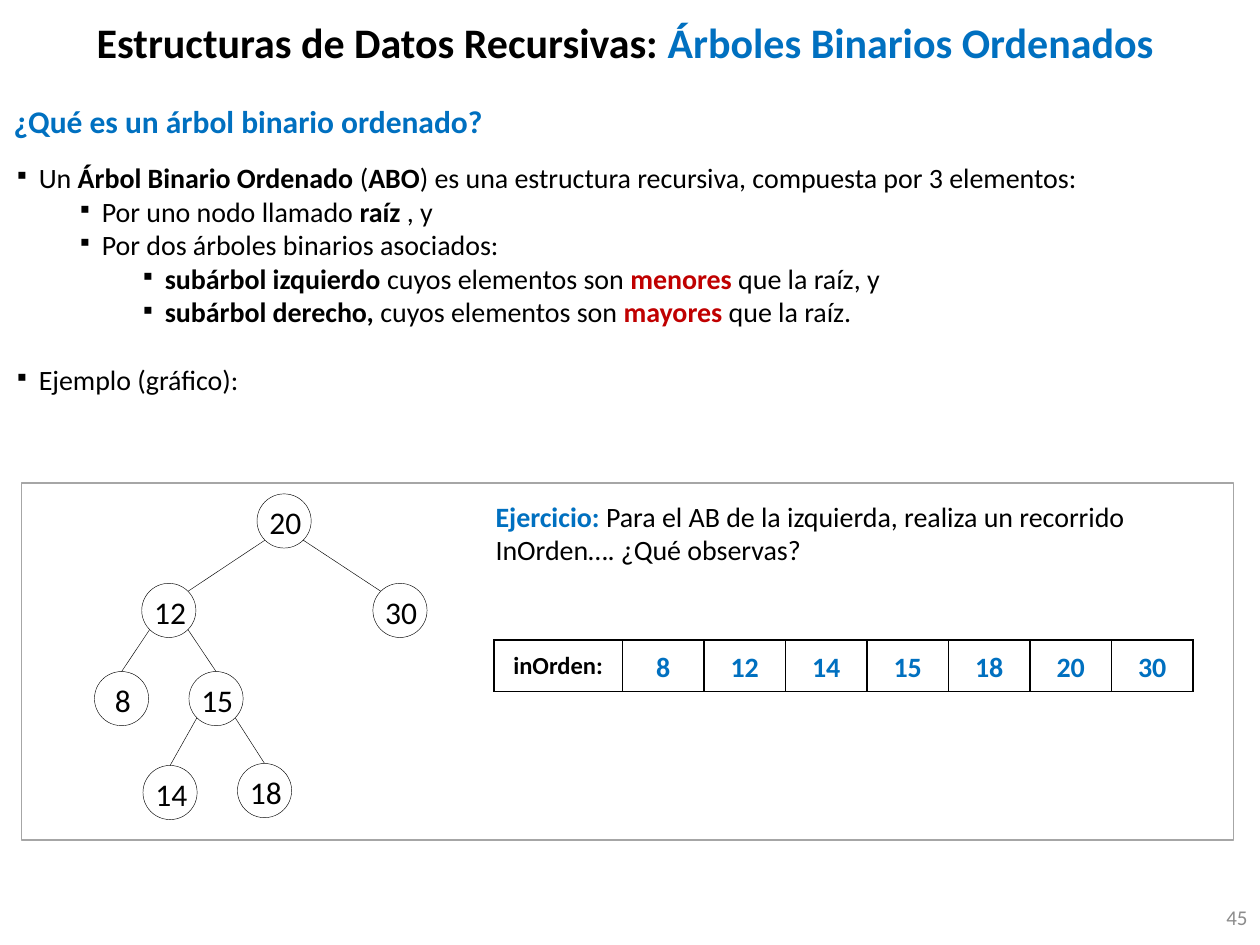
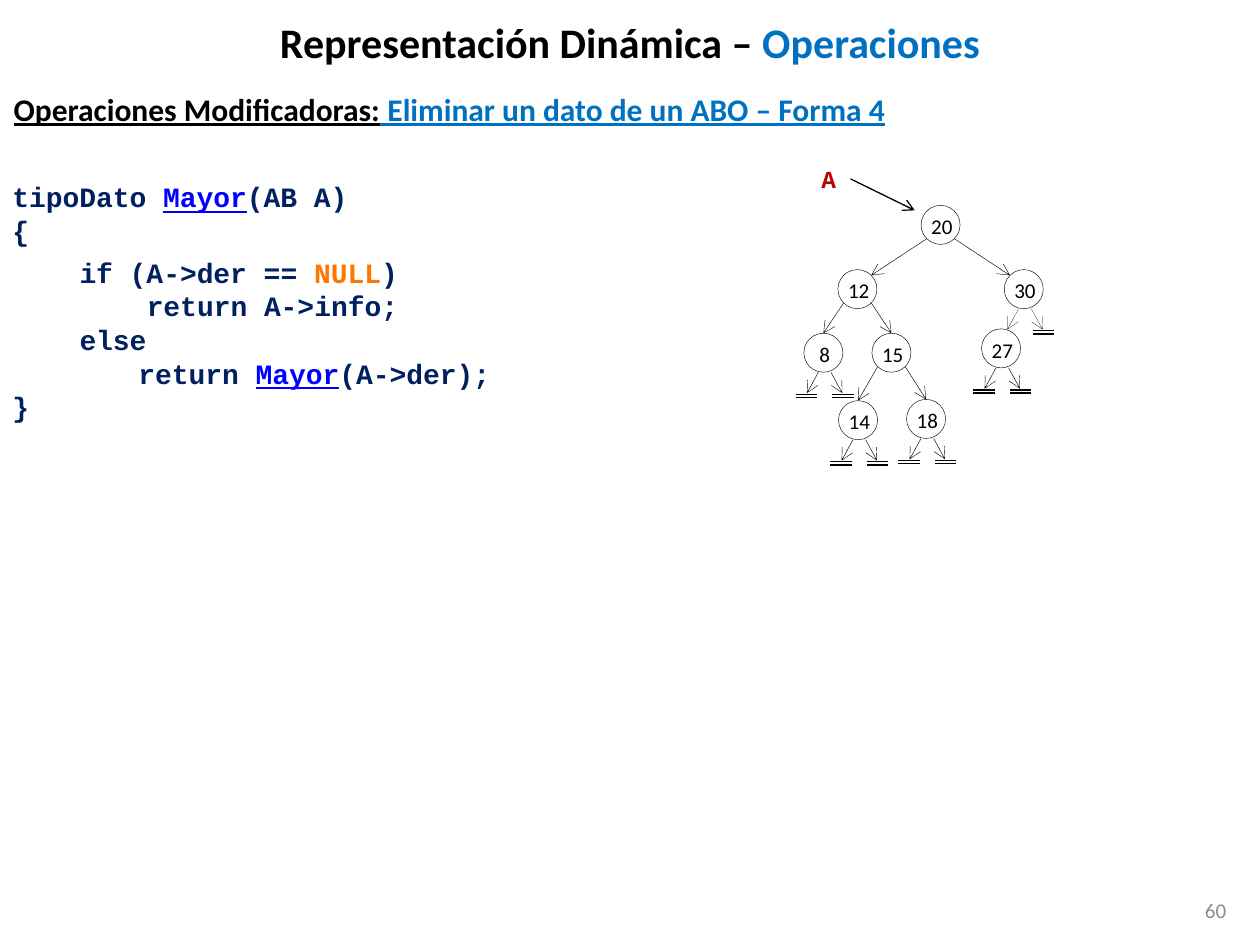
from dataclasses import dataclass, replace

from lxml.etree import SubElement
from pptx import Presentation
from pptx.dml.color import RGBColor
from pptx.enum.shapes import MSO_CONNECTOR, MSO_SHAPE
from pptx.enum.text import MSO_ANCHOR, PP_ALIGN
from pptx.oxml.ns import qn
from pptx.util import Inches, Pt

COLORS = {
    "black": "000000", "white": "FFFFFF", "blue": "0070C0", "red": "C00000",
    "navy": "002060", "call": "0000FF", "orange": "FF7700",
    "frame": "A6A6A6", "number": "8C8C8C",
}
COLUMNS, ROWS = 100, 75
DIAGONAL = 0.5 ** 0.5
HAIRLINE = 0.01


@dataclass(frozen=True)
class Style:
    """Look of a run of text."""
    size: int
    color: str = "black"
    bold: bool = False
    underline: bool = False
    font: str = "Calibri"


@dataclass
class Line:
    """One paragraph: its runs, its left indent in columns and its spacing in points."""
    runs: list
    indent: float = 0
    bullet: bool = False
    before: float = 0
    align: PP_ALIGN = PP_ALIGN.LEFT


TITLE = Style(24, bold=True)
HEADING = Style(18, bold=True)
BODY = Style(16)
STRONG = replace(BODY, bold=True)
WARNING = replace(STRONG, color="red")
CODE = Style(16, "navy", bold=True, font="Courier New")
CALL = replace(CODE, color="call", underline=True)


def cells(count):
    """Turn grid columns or rows into a length."""
    return Inches(count * 10 / COLUMNS)


def rgb(name):
    """Look up a named colour."""
    return RGBColor.from_string(COLORS[name])


def blue(style):
    """Return the style in the accent colour."""
    return replace(style, color="blue")


def write_line(paragraph, line):
    """Fill a paragraph run by run."""
    paragraph.alignment = line.align
    paragraph.space_before = Pt(line.before)
    properties = paragraph._p.get_or_add_pPr()
    properties.set("marL", str(cells(line.indent)))
    if line.bullet:
        properties.set("indent", str(-cells(2)))
        SubElement(properties, qn("a:buFont"), typeface="Courier New")
        SubElement(properties, qn("a:buChar"), char="▪")
    for text, style in line.runs:
        run = paragraph.add_run()
        run.text = text
        run.font.size = Pt(style.size)
        run.font.name = style.font
        run.font.bold = style.bold
        run.font.underline = style.underline
        run.font.color.rgb = rgb(style.color)


def add_text(slide, left, top, width, height, lines, anchor=MSO_ANCHOR.TOP, wrap=True):
    """Add a text box placed on the grid."""
    box = slide.shapes.add_textbox(cells(left), cells(top), cells(width), cells(height))
    frame = box.text_frame
    frame.word_wrap = wrap
    frame.vertical_anchor = anchor
    for index, line in enumerate(lines):
        write_line(frame.add_paragraph() if index else frame.paragraphs[0], line)


def add_outline(slide, preset, left, top, width, height, color, weight):
    """Add an unfilled shape with a thin outline."""
    shape = slide.shapes.add_shape(preset, cells(left), cells(top), cells(width), cells(height))
    shape.shadow.inherit = False
    shape.fill.background()
    shape.line.color.rgb = rgb(color)
    shape.line.width = Pt(weight)
    return shape


def add_line(slide, start, end, weight=0.25, arrow=False):
    """Add a straight black line, with an arrowhead if wanted."""
    connector = slide.shapes.add_connector(
        MSO_CONNECTOR.STRAIGHT, *(cells(value) for value in (*start, *end)))
    connector.line.color.rgb = rgb("black")
    connector.line.width = Pt(weight)
    if arrow:
        SubElement(connector.line._get_or_add_ln(), qn("a:tailEnd"), type="arrow")
    SubElement(connector._element.spPr, qn("a:effectLst"))
    return connector


def add_node(slide, label, center, diameter, size):
    """Add a round tree node with its value."""
    column, row = center
    node = add_outline(slide, MSO_SHAPE.OVAL, column - diameter / 2, row - diameter / 2,
                       diameter, diameter, "black", 0.25)
    frame = node.text_frame
    frame.word_wrap = False
    frame.vertical_anchor = MSO_ANCHOR.MIDDLE
    frame.margin_left = frame.margin_top = cells(0.2)
    frame.margin_right = frame.margin_bottom = 0
    write_line(frame.paragraphs[0], Line([(label, Style(size))], align=PP_ALIGN.CENTER))
    return node


def add_tree(slide, centers, edges, diameter, size, arrow=False):
    """Add the nodes and join each parent to its children."""
    nodes = {label: add_node(slide, label, center, diameter, size)
             for label, center in centers.items()}
    reach = diameter / 2 * DIAGONAL
    for parent, child in edges:
        (column, row), (child_column, child_row) = centers[parent], centers[child]
        side = 1 if child_column > column else -1
        start = (column + side * reach, row + reach)
        end = (child_column - side * reach, child_row - reach)
        edge = add_line(slide, start, end, arrow=arrow)
        if abs(child_column - column) < 1.5 * diameter:
            edge.end_connect(nodes[child], 0)


def add_pointer(slide, center, side, weight=0.25, null=True):
    """Add a short pointer below a node, ending in a double bar when null."""
    column, row = center[0] + 0.1, center[1]
    add_line(slide, (column + side * 0.5, row + 1.55), (column + side * 1.4, row + 3.2),
             weight, arrow=True)
    if null:
        for drop in (3.3, 3.55):
            add_line(slide, (column + side * 0.6, row + drop),
                     (column + side * 2.3, row + drop), 0.75)


def add_traversal(slide, left, top, height, label, values):
    """Add a one-row table with a label and lay the visited values over its boxes."""
    label_width, value_width = 10.2, 6.47
    width = label_width + value_width * len(values)
    table = slide.shapes.add_table(1, len(values) + 1, cells(left), cells(top),
                                   cells(width), cells(height)).table
    table.first_row = table.horz_banding = False
    for index, column in enumerate(table.columns):
        column.width = cells(value_width if index else label_width)
        cell = table.cell(0, index)
        properties = cell._tc.get_or_add_tcPr()
        for edge in ("a:lnL", "a:lnR", "a:lnT", "a:lnB"):
            border = SubElement(properties, qn(edge), w=str(Pt(1)))
            fill = SubElement(border, qn("a:solidFill"))
            SubElement(fill, qn("a:srgbClr"), val=COLORS["black"])
        cell.fill.solid()
        cell.fill.fore_color.rgb = rgb("white")
        cell.vertical_anchor = MSO_ANCHOR.MIDDLE
    write_line(table.cell(0, 0).text_frame.paragraphs[0],
               Line([(label, Style(14, bold=True))], align=PP_ALIGN.CENTER))
    box_width = 4.3
    first = left + label_width + (value_width - box_width) / 2
    for index, value in enumerate(values):
        add_text(slide, first + index * value_width, top + 0.3, box_width, 3.7,
                 [Line([(value, blue(STRONG))], align=PP_ALIGN.CENTER)], wrap=False)


def add_slide(presentation, title, topic, number, number_right, number_top):
    """Add a blank slide with the shared title and slide number."""
    slide = presentation.slides.add_slide(presentation.slide_layouts[6])
    title_line = Line([(title, TITLE), (topic, blue(TITLE))], align=PP_ALIGN.CENTER)
    add_text(slide, 0, 0, COLUMNS, 6.7, [title_line], MSO_ANCHOR.MIDDLE)
    number_line = Line([(number, Style(12, "number"))], align=PP_ALIGN.RIGHT)
    add_text(slide, number_right - 23.3, number_top, 23.3, 4, [number_line], MSO_ANCHOR.MIDDLE)
    return slide


def build_definition(presentation):
    """Build the slide that defines ordered binary trees."""
    slide = add_slide(presentation, "Estructuras de Datos Recursivas: ",
                      "Árboles Binarios Ordenados ", "45", 100, 70.8)
    add_text(slide, 0.1, 7.6, 41.6, 4,
             [Line([("¿Qué es un árbol binario ordenado?", blue(HEADING))])], wrap=False)
    items = [
        (0, 0, [("Un ", BODY), ("Árbol Binario Ordenado ", STRONG), ("(", BODY), ("ABO", STRONG),
                (") es una estructura recursiva, compuesta por 3 elementos:", BODY)]),
        (1, 0, [("Por uno nodo llamado ", BODY), ("raíz ", STRONG), (", y", BODY)]),
        (1, 0, [("Por dos árboles binarios asociados: ", BODY)]),
        (2, 0, [("subárbol izquierdo ", STRONG), ("cuyos elementos son ", BODY),
                ("menores ", WARNING), ("que la raíz, y ", BODY)]),
        (2, 0, [("subárbol derecho, ", STRONG), ("cuyos elementos son ", BODY),
                ("mayores ", WARNING), ("que la raíz.", BODY)]),
        (0, 19.5, [("Ejemplo (gráfico):", BODY)]),
    ]
    add_text(slide, 0.1, 12.25, 99.9, 19.9,
             [Line(runs, 2 + 5 * level, True, before, PP_ALIGN.JUSTIFY)
              for level, before, runs in items])
    add_outline(slide, MSO_SHAPE.RECTANGLE, 1.7, 38.35, 96.2, 28.3, "frame", 1)
    centers = {
        "20": (22.55, 41.35), "12": (13.4, 48.45), "30": (31.75, 48.45), "8": (9.65, 55.45),
        "15": (17.15, 55.45), "14": (13.5, 62.9), "18": (21, 62.75),
    }
    edges = [("20", "12"), ("20", "30"), ("12", "8"), ("12", "15"), ("15", "14"), ("15", "18")]
    add_tree(slide, centers, edges, 4.3, 18)
    add_text(slide, 38.35, 39.15, 52.6, 6.4, [
        Line([("Ejercicio:", blue(STRONG)),
              (" Para el AB de la izquierda, realiza un recorrido", BODY)]),
        Line([("InOrden…. ¿Qué observas?", BODY)]),
    ], wrap=False)
    add_traversal(slide, 39.2, 50.8, 4.1, "inOrden:", sorted(centers, key=int))


def build_removal(presentation):
    """Build the slide with the function that finds the largest value."""
    slide = add_slide(presentation, "Representación Dinámica –", " Operaciones", "60", 98.3, 70.2)
    underlined = replace(HEADING, underline=True)
    add_text(slide, 0.1, 6.65, 99.9, 4, [
        Line([("Operaciones Modificadoras:", underlined),
              (" Eliminar un dato de un ABO – Forma 4", blue(underlined))])])
    add_text(slide, 0, 13.75, 100, 20.5, [
        Line([("tipoDato ", CODE), ("Mayor", CALL), ("(AB A)", CODE)]),
        Line([("{", CODE)]),
        Line([("if (A->der == ", CODE), ("NULL", replace(CODE, color="orange")), (")", CODE)],
             indent=5.33, before=5),
        Line([("return A->info;", CODE)], indent=10.67),
        Line([("else", CODE)], indent=5.33),
        Line([("return ", CODE), ("Mayor", CALL), ("(A->der);", CODE)], indent=10),
        Line([("}", CODE)]),
    ])
    centers = {
        "20": (74.65, 17.85), "12": (68.05, 22.95), "30": (81.25, 22.95), "8": (65.35, 28),
        "15": (70.75, 28), "14": (68.1, 33.35), "18": (73.5, 33.25), "27": (79.45, 27.65),
    }
    edges = [("20", "12"), ("20", "30"), ("12", "8"), ("12", "15"), ("15", "14"), ("15", "18")]
    add_tree(slide, centers, edges, 3.1, 12, arrow=True)
    for leaf in ("8", "14", "18", "27"):
        for side in (-1, 1):
            add_pointer(slide, centers[leaf], side)
    add_pointer(slide, centers["30"], -1, HAIRLINE, null=False)
    add_pointer(slide, centers["30"], 1, HAIRLINE)
    root_label = Style(14, "red", bold=True, font="Courier New")
    add_text(slide, 64.2, 12.5, 3.2, 3.4, [Line([("A", root_label)])], wrap=False)
    add_line(slide, (67.5, 14.2), (72.6, 16.7), 0.75, arrow=True)


def main():
    """Build and save the presentation."""
    presentation = Presentation()
    presentation.slide_width, presentation.slide_height = cells(COLUMNS), cells(ROWS)
    build_definition(presentation)
    build_removal(presentation)
    presentation.save("out.pptx")


if __name__ == "__main__":
    main()
